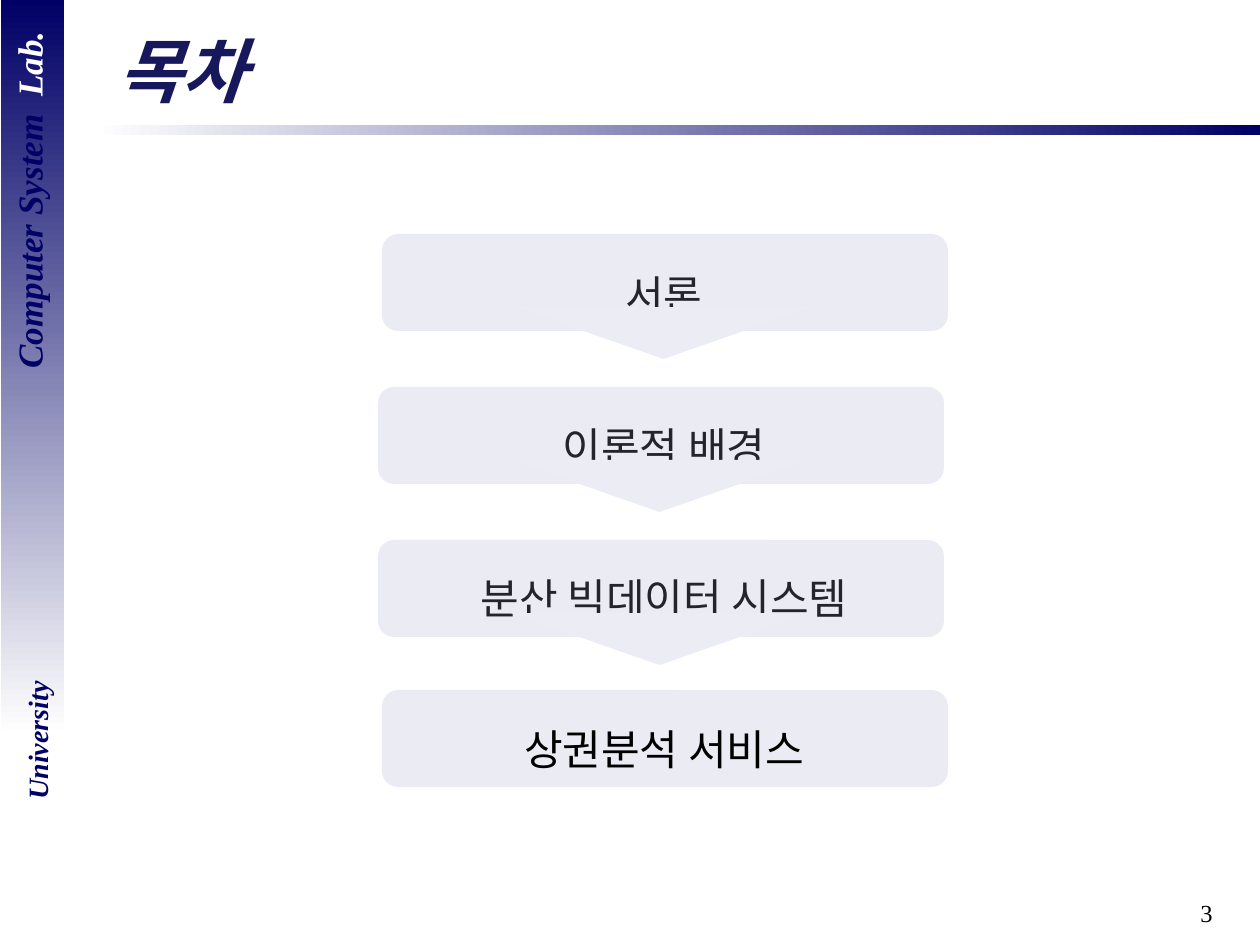
from dataclasses import dataclass
from typing import Any

from lxml.etree import SubElement
from pptx import Presentation
from pptx.dml.color import RGBColor
from pptx.enum.shapes import MSO_SHAPE as Shape
from pptx.enum.text import MSO_ANCHOR as Anchor, MSO_AUTO_SIZE as AutoSize, PP_ALIGN as Align
from pptx.oxml.ns import qn
from pptx.util import Emu, Pt

EMU_PER_PX = 914400 / 126
COLORS = {
    "navy": "000066",
    "title": "17175C",
    "box": "A8A8CB",
    "arrow": "ECECF4",
    "white": "FFFFFF",
    "black": "000000",
}
SERIF, KOREAN = "Times New Roman", "Noto Sans CJK KR"
BOX_W, BOX_H = 566, 97
ARROW_DX, ARROW_DY, ARROW_W, ARROW_H = 133, 73, 297, 52


@dataclass
class Area:
    x: int
    y: int
    w: int
    h: int
    rotation: int = 0


@dataclass
class Band:
    area: Area
    start: str
    end: str


@dataclass
class Label:
    area: Area
    words: list[tuple[str, str]]
    align: Align
    font: dict[str, Any]


@dataclass
class Step:
    x: int
    y: int
    arrow: bool = True


BANDS = [
    Band(Area(95, 125, 1165, 10), "white", "navy"),
    Band(Area(-335, 335, 735, 64, 90), "navy", "white"),
]
SIDE_FONT = {"name": SERIF, "bold": True, "italic": True}
LABELS = [
    Label(Area(963, 892, 262, 53), [("3", "black")], Align.RIGHT,
          {"name": SERIF, "size": Pt(14)}),
    Label(Area(-165, 173, 387, 54, 270), [("Computer System  ", "navy"), ("Lab.", "white")],
          Align.CENTER, SIDE_FONT | {"size": Pt(20)}),
    Label(Area(-52, 717, 179, 47, 270), [("University", "navy")],
          Align.CENTER, SIDE_FONT | {"size": Pt(16)}),
]
STEPS = [Step(382, 234), Step(378, 387), Step(378, 540), Step(382, 690, False)]
TOPICS = ["서론", "이론적 배경", "분산 빅데이터 시스템", "상권분석 서비스"]


def px(value: int) -> Emu:
    return Emu(round(value * EMU_PER_PX))


def rgb(name: str) -> RGBColor:
    return RGBColor.from_string(COLORS[name])


def bounds(area: Area) -> tuple[Emu, ...]:
    return tuple(px(v) for v in (area.x, area.y, area.w, area.h))


def place(sp: Any, area: Area) -> None:
    sp.left, sp.top, sp.width, sp.height = bounds(area)
    sp.rotation = area.rotation


def apply(target: Any, values: dict[str, Any]) -> None:
    for key, value in values.items():
        setattr(target, key, value)


def add_run(p: Any, text: str, color: str, font: dict[str, Any]) -> None:
    r = p.add_run()
    r.text = text
    apply(r.font, font)
    r.font.color.rgb = rgb(color)
    if font["name"] == KOREAN:
        SubElement(r.font._element, qn("a:ea")).set("typeface", KOREAN)


def add_plain(shapes: Any, kind: Shape, area: Area) -> Any:
    sp = shapes.add_shape(kind, *bounds(area))
    sp.rotation = area.rotation
    sp.shadow.inherit = False
    sp.line.fill.background()
    return sp


def add_band(shapes: Any, band: Band) -> None:
    fill = add_plain(shapes, Shape.RECTANGLE, band.area).fill
    fill.gradient()
    fill.gradient_angle = 0
    for stop, position, color in zip(fill.gradient_stops, (0, 1), (band.start, band.end)):
        stop.position = position
        stop.color.rgb = rgb(color)


def add_label(shapes: Any, label: Label) -> None:
    sp = shapes.add_textbox(*bounds(label.area))
    sp.rotation = label.area.rotation
    tf = sp.text_frame
    tf.word_wrap = True
    p = tf.paragraphs[0]
    p.alignment = label.align
    for text, color in label.words:
        add_run(p, text, color, label.font)


def add_step(shapes: Any, step: Step) -> None:
    target = shapes.add_group_shape().shapes if step.arrow else shapes
    box = add_plain(target, Shape.ROUNDED_RECTANGLE, Area(step.x, step.y, BOX_W, BOX_H))
    box.fill.solid()
    box.fill.fore_color.rgb = rgb("box")
    color = box.fill._xPr.find(qn("a:solidFill"))[0]
    SubElement(color, qn("a:alpha")).set("val", "22000")
    if step.arrow:
        area = Area(step.x + ARROW_DX, step.y + ARROW_DY, ARROW_W, ARROW_H, 180)
        arrow = add_plain(target, Shape.ISOSCELES_TRIANGLE, area)
        arrow.fill.solid()
        arrow.fill.fore_color.rgb = rgb("arrow")


def fill_placeholder(sp: Any, area: Area, lines: list[str], color: str,
                     paragraph: dict[str, Any], font: dict[str, Any]) -> None:
    place(sp, area)
    tf = sp.text_frame
    apply(tf, {"word_wrap": True, "auto_size": AutoSize.NONE, "vertical_anchor": Anchor.MIDDLE})
    for i, line in enumerate(lines):
        p = tf.add_paragraph() if i else tf.paragraphs[0]
        apply(p, paragraph)
        pPr = p._p.get_or_add_pPr()
        pPr.set("marL", "0")
        pPr.set("indent", "0")
        SubElement(pPr, qn("a:buNone"))
        add_run(p, line, color, font)


def main() -> None:
    prs = Presentation()
    prs.slide_width, prs.slide_height = px(1260), px(945)
    s = prs.slides.add_slide(prs.slide_layouts[1])
    title, body = s.placeholders
    for band in BANDS:
        add_band(s.shapes, band)
    for label in LABELS:
        add_label(s.shapes, label)
    *linked, last = STEPS
    add_step(s.shapes, last)
    for sp in (title, body):
        s.shapes._spTree.append(sp._element)
    fill_placeholder(title, Area(105, 21, 1121, 97), ["목차"], "title", {"alignment": Align.LEFT},
                     {"name": KOREAN, "size": Pt(40), "bold": True, "italic": True})
    fill_placeholder(body, Area(441, 423, 446, 97), TOPICS, "black",
                     {"alignment": Align.CENTER, "line_spacing": 3.0, "space_before": Pt(0)},
                     {"name": KOREAN, "size": Pt(24)})
    for step in linked:
        add_step(s.shapes, step)
    prs.save("out.pptx")


if __name__ == "__main__":
    main()
